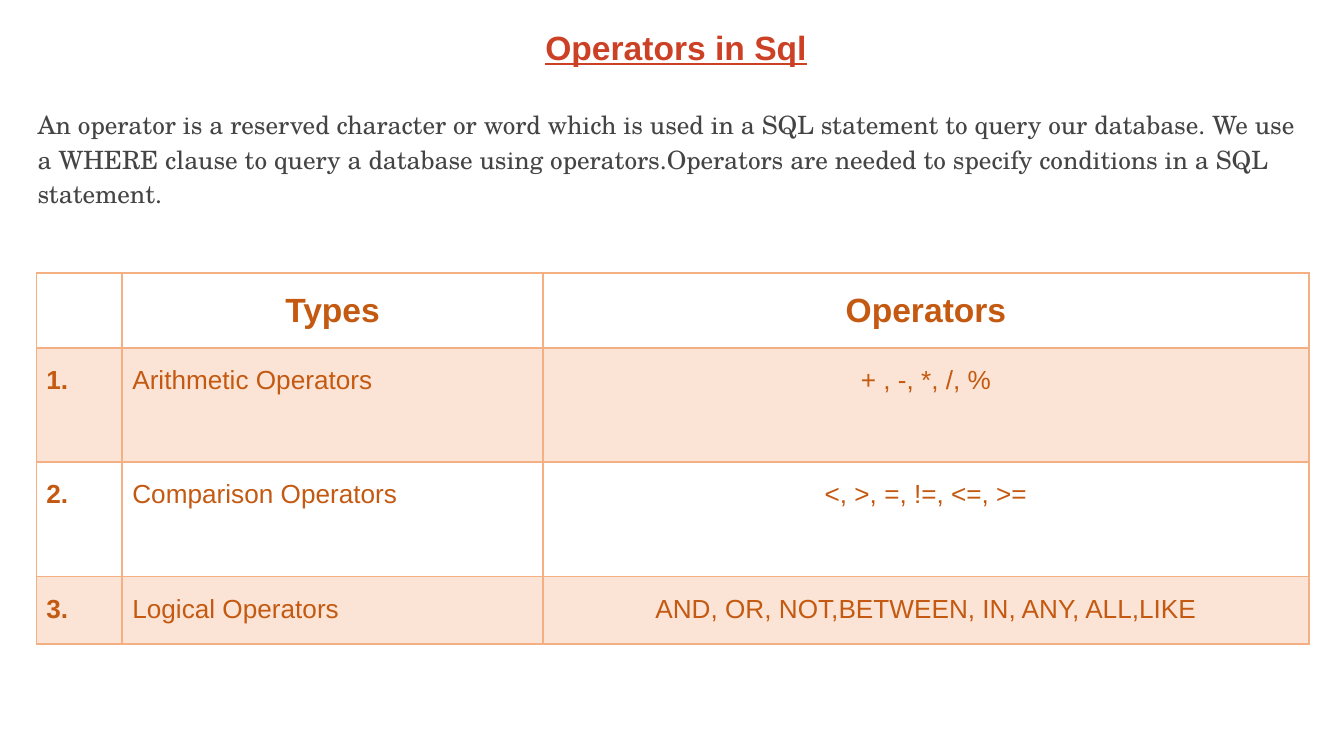
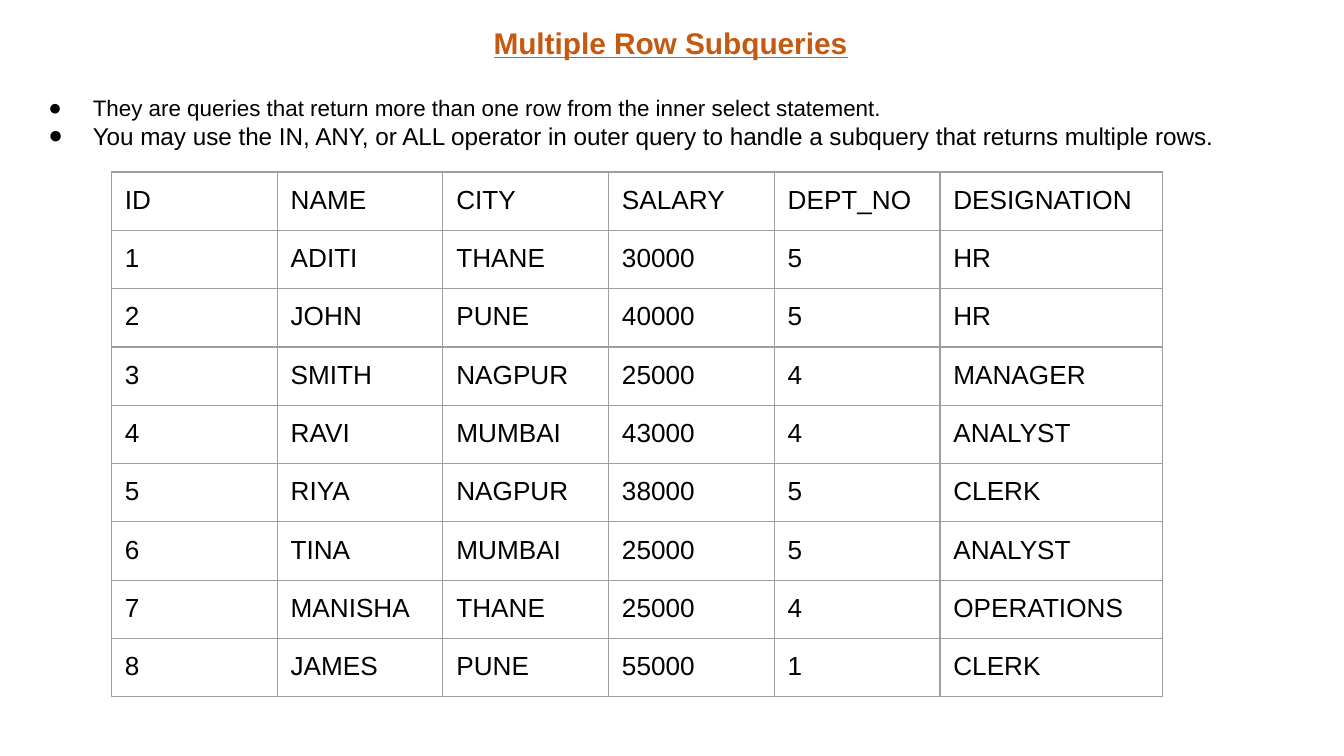
"""Build two slides on SQL operators and multiple row subqueries."""
from dataclasses import dataclass
from typing import Any, NamedTuple, Optional

from lxml import etree
from pptx import Presentation
from pptx.dml.color import RGBColor
from pptx.enum.text import MSO_ANCHOR, MSO_AUTO_SIZE, PP_ALIGN
from pptx.oxml.ns import qn
from pptx.util import Inches, Length, Pt

LEFT, CENTER = PP_ALIGN.LEFT, PP_ALIGN.CENTER
TOP = MSO_ANCHOR.TOP
GROW = MSO_AUTO_SIZE.SHAPE_TO_FIT_TEXT

GRID_COLUMNS, GRID_ROWS = 100, 56.25
CELL = Inches(0.1)
INSET = 1
TITLE_AND_BODY = 1

COLORS = {
    "red": "CC4125",
    "orange": "C45911",
    "peach": "F4B083",
    "blush": "FBE4D5",
    "gray": "9E9E9E",
    "charcoal": "444444",
    "black": "000000",
}


class Box(NamedTuple):
    """Place and size in grid columns and rows."""
    column: float
    row: float
    columns: float
    rows: float


class Style(NamedTuple):
    """Look of a run and its paragraph."""
    size: float
    color: str
    font: str = "Arial"
    bold: bool = False
    underline: bool = False
    alignment: Any = LEFT
    line_spacing: float = 1.0
    space_after: float = 0


class Line(NamedTuple):
    """One paragraph of a text block."""
    text: str
    style: Style


@dataclass(frozen=True)
class TextBlock:
    """Lines that fill a placeholder."""
    box: Box
    lines: tuple[Line, ...]
    bullet: Optional[str] = None


@dataclass(frozen=True)
class TableBlock:
    """Table content with its grid, margins and look."""
    column: float
    row: float
    columns: tuple[float, ...]
    rows: tuple[float, ...]
    cells: tuple[tuple[str, ...], ...]
    header_styles: tuple[Style, ...]
    row_styles: tuple[Style, ...]
    border: str
    border_width: float
    header_border_width: float
    side_margin: float = INSET
    band: Optional[str] = None


@dataclass(frozen=True)
class SlideContent:
    """Everything one slide holds."""
    title: TextBlock
    body: TextBlock
    table: TableBlock


def cells_long(count: float) -> Length:
    """Turn a count of grid cells into a length."""
    return Length(round(count * CELL))


def set_attributes(target: Any, values: dict[str, Any]) -> None:
    """Set each named value on the target."""
    for name, value in values.items():
        setattr(target, name, value)


def write_line(paragraph: Any, text: str, style: Style) -> None:
    """Write styled text into a paragraph."""
    set_attributes(paragraph, {
        "alignment": style.alignment,
        "line_spacing": style.line_spacing,
        "space_before": Pt(0),
        "space_after": Pt(style.space_after),
    })
    run = paragraph.add_run()
    run.text = text
    set_attributes(run.font, {
        "name": style.font,
        "size": Pt(style.size),
        "bold": style.bold,
        "underline": style.underline,
    })
    run.font.color.rgb = RGBColor.from_string(COLORS[style.color])


def set_bullet(paragraph: Any, bullet: Optional[str]) -> None:
    """Give a paragraph a black hanging bullet, or none."""
    properties = paragraph._p.get_or_add_pPr()
    margin, indent = (5, -3.3) if bullet else (0, 0)
    properties.set("marL", str(cells_long(margin)))
    properties.set("indent", str(cells_long(indent)))
    if bullet is None:
        etree.SubElement(properties, qn("a:buNone"))
        return
    color = etree.SubElement(properties, qn("a:buClr"))
    etree.SubElement(color, qn("a:srgbClr"), val=COLORS["black"])
    etree.SubElement(properties, qn("a:buFont"), typeface="Arial")
    etree.SubElement(properties, qn("a:buChar"), char=bullet)


def fill_placeholder(shape: Any, block: TextBlock) -> None:
    """Move a placeholder and write its lines."""
    left, top, width, height = map(cells_long, block.box)
    set_attributes(shape, {"left": left, "top": top, "width": width, "height": height})
    frame = shape.text_frame
    inset = cells_long(INSET)
    set_attributes(frame, {
        "margin_left": inset, "margin_right": inset,
        "margin_top": inset, "margin_bottom": inset,
        "word_wrap": True, "auto_size": GROW, "vertical_anchor": TOP,
    })
    for index, line in enumerate(block.lines):
        paragraph = frame.add_paragraph() if index else frame.paragraphs[0]
        write_line(paragraph, line.text, line.style)
        set_bullet(paragraph, block.bullet)


def set_borders(cell: Any, color: str, widths: dict[str, float]) -> None:
    """Draw the four borders of a cell."""
    properties = cell._tc.get_or_add_tcPr()
    for position, (side, width) in enumerate(widths.items()):
        border = etree.Element(qn(f"a:ln{side}"), w=str(Pt(width)))
        fill = etree.SubElement(border, qn("a:solidFill"))
        etree.SubElement(fill, qn("a:srgbClr"), val=COLORS[color])
        properties.insert(position, border)


def draw_cell(cell: Any, block: TableBlock, row: int, column: int) -> None:
    """Write, fill and frame one table cell."""
    side, inset = cells_long(block.side_margin), cells_long(INSET)
    set_attributes(cell, {
        "margin_left": side, "margin_right": side,
        "margin_top": inset, "margin_bottom": inset,
        "vertical_anchor": TOP,
    })
    text = block.cells[row][column]
    if text:
        styles = block.row_styles if row else block.header_styles
        write_line(cell.text_frame.paragraphs[0], text, styles[column])
    if block.band and row % 2:
        cell.fill.solid()
        cell.fill.fore_color.rgb = RGBColor.from_string(COLORS[block.band])
    else:
        cell.fill.background()
    plain, header = block.border_width, block.header_border_width
    set_borders(cell, block.border, {
        "L": plain,
        "R": plain,
        "T": header if row == 1 else plain,
        "B": header if row == 0 else plain,
    })


def draw_table(slide: Any, block: TableBlock) -> None:
    """Add a table and draw all its cells."""
    box = Box(block.column, block.row, sum(block.columns), sum(block.rows))
    frame = slide.shapes.add_table(
        len(block.rows), len(block.columns), *map(cells_long, box))
    table = frame.table
    set_attributes(table, {"first_row": False, "horz_banding": False})
    for column, width in zip(table.columns, block.columns):
        column.width = cells_long(width)
    for row, height in zip(table.rows, block.rows):
        row.height = cells_long(height)
    for row in range(len(block.rows)):
        for column in range(len(block.columns)):
            draw_cell(table.cell(row, column), block, row, column)


def title_style(size: float, color: str) -> Style:
    """Return the shared underlined title look."""
    return Style(size, color, bold=True, underline=True, alignment=CENTER)


HEADING = Style(18, "orange", bold=True, alignment=CENTER, line_spacing=1.15)
ENTRY = Style(14, "orange", line_spacing=1.15)
DATA = Style(14, "black")
DEFINITION = Style(13.5, "charcoal", "TeX Gyre Schola", line_spacing=1.15, space_after=14)

OPERATORS = SlideContent(
    title=TextBlock(
        Box(1.8, 1, 97, 4.9),
        (Line("Operators in Sql", title_style(18, "red")),)),
    body=TextBlock(
        Box(1.8, 6.8, 97, 9.8),
        (Line("An operator is a reserved character or word which is used in a SQL "
              "statement to query our database. We use a WHERE clause to query a "
              "database using operators.Operators are needed to specify conditions "
              "in a SQL statement.", DEFINITION),)),
    table=TableBlock(
        column=2.7, row=20.3,
        columns=(6.4, 31.3, 57), rows=(5.6, 8.5, 8.5, 5),
        cells=(
            ("", "Types", "Operators"),
            ("1.", "Arithmetic Operators", "+ , -, *, /, %"),
            ("2.", "Comparison Operators", "<, >, =, !=, <=, >="),
            ("3.", "Logical Operators", "AND, OR, NOT,BETWEEN, IN, ANY, ALL,LIKE"),
        ),
        header_styles=(HEADING,) * 3,
        row_styles=(ENTRY._replace(bold=True), ENTRY, ENTRY._replace(alignment=CENTER)),
        border="peach", border_width=1, header_border_width=1.5,
        side_margin=0.75, band="blush"),
)

SUBQUERIES = SlideContent(
    title=TextBlock(
        Box(0.8, 0.8, 98.2, 4.7),
        (Line("Multiple Row Subqueries", title_style(16, "orange")),)),
    body=TextBlock(
        Box(0.9, 6, 97.9, 6.2),
        (Line("They are queries that return more than one row from the inner select "
              "statement.", Style(12, "black")),
         Line("You may use the IN, ANY, or ALL operator in outer query to handle a "
              "subquery that returns multiple rows.", Style(13, "black"))),
        bullet="●"),
    table=TableBlock(
        column=8.3, row=12.8,
        columns=(12.33,) * 5 + (16.55,), rows=(4.33,) * 9,
        cells=(
            ("ID", "NAME", "CITY", "SALARY", "DEPT_NO", "DESIGNATION"),
            ("1", "ADITI", "THANE", "30000", "5", "HR"),
            ("2", "JOHN", "PUNE", "40000", "5", "HR"),
            ("3", "SMITH", "NAGPUR", "25000", "4", "MANAGER"),
            ("4", "RAVI", "MUMBAI", "43000", "4", "ANALYST"),
            ("5", "RIYA", "NAGPUR", "38000", "5", "CLERK"),
            ("6", "TINA", "MUMBAI", "25000", "5", "ANALYST"),
            ("7", "MANISHA", "THANE", "25000", "4", "OPERATIONS"),
            ("8", "JAMES", "PUNE", "55000", "1", "CLERK"),
        ),
        header_styles=(DATA,) * 6, row_styles=(DATA,) * 6,
        border="gray", border_width=0.75, header_border_width=0.75),
)


def main() -> None:
    """Build and save the presentation."""
    presentation = Presentation()
    presentation.slide_width = cells_long(GRID_COLUMNS)
    presentation.slide_height = cells_long(GRID_ROWS)
    layout = presentation.slide_layouts[TITLE_AND_BODY]
    for content in (OPERATORS, SUBQUERIES):
        slide = presentation.slides.add_slide(layout)
        fill_placeholder(slide.shapes.title, content.title)
        fill_placeholder(slide.placeholders[1], content.body)
        draw_table(slide, content.table)
    presentation.save("out.pptx")


if __name__ == "__main__":
    main()
